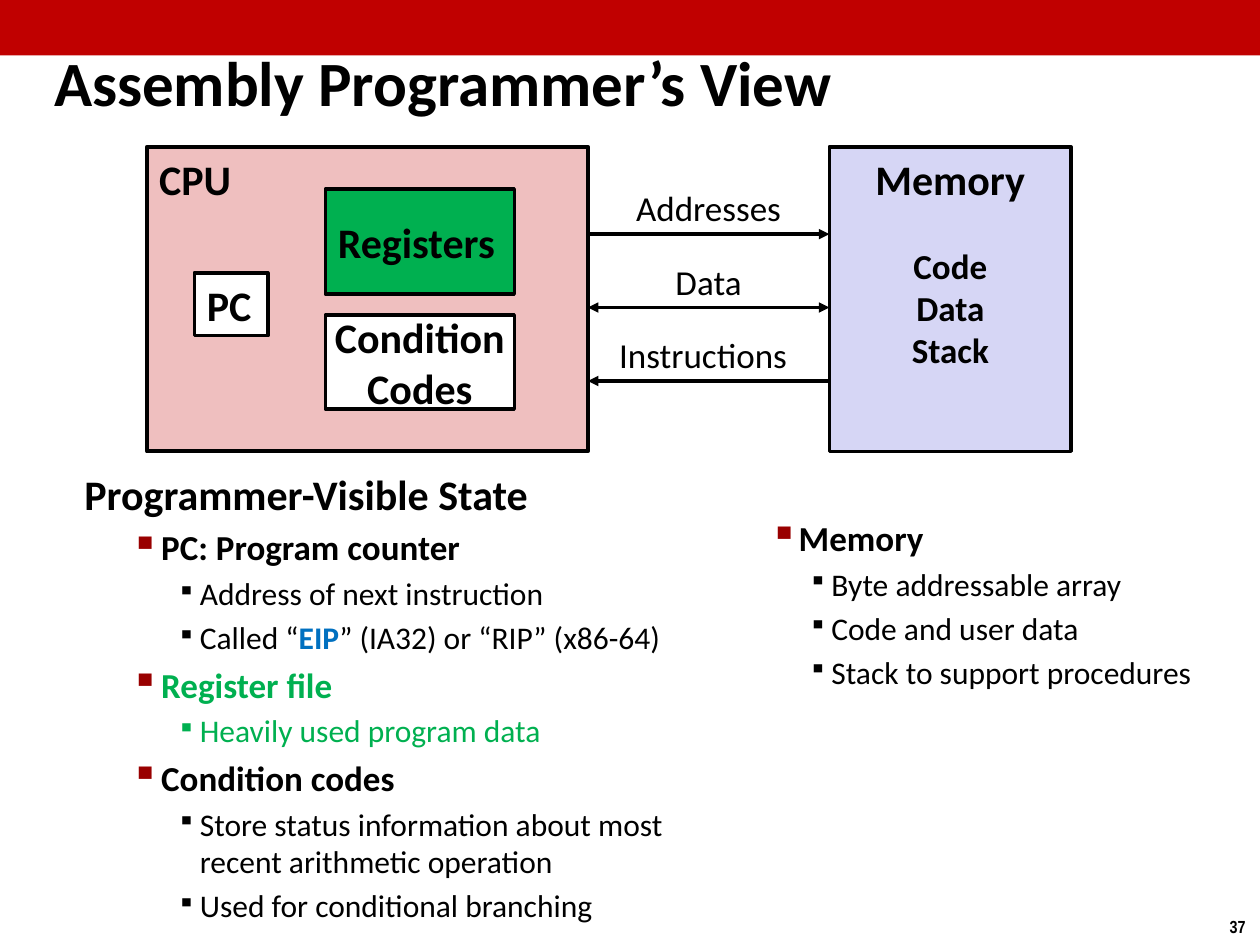
from dataclasses import dataclass
from typing import NamedTuple

from lxml import etree
from pptx import Presentation
from pptx.dml.color import RGBColor
from pptx.enum import shapes, text
from pptx.oxml import ns
from pptx.util import Cm, Pt

LEFT, CENTER = text.PP_ALIGN.LEFT, text.PP_ALIGN.CENTER
TOP, MIDDLE = text.MSO_ANCHOR.TOP, text.MSO_ANCHOR.MIDDLE


@dataclass(frozen=True)
class Theme:
    font: str = "Calibri"
    number_font: str = "Arial Narrow"
    black: str = "000000"
    white: str = "FFFFFF"
    bar: str = "C00000"
    cpu: str = "EFBFBF"
    memory: str = "D6D6F5"
    green: str = "00B050"
    blue: str = "0070C0"
    bullet: str = "990000"
    title: int = 36
    heading: int = 24
    item: int = 20
    detail: int = 18
    number: int = 10
    space_share: float = 0.2


THEME = Theme()


class Box(NamedTuple):
    left: float
    top: float
    width: float
    height: float


class Span(NamedTuple):
    words: str
    color: str = THEME.black
    bold: bool = False


class Level(NamedTuple):
    size: int
    margin: float = 0
    hang: float = 0
    bullet_percent: int = 0
    bullet_color: str = ""


class Item(NamedTuple):
    level: Level
    spans: list[Span]


class Block(NamedTuple):
    box: Box
    fill: str
    lines: list[str]
    align: text.PP_ALIGN = LEFT
    anchor: text.MSO_ANCHOR = MIDDLE
    border: float = 2


class Flow(NamedTuple):
    label: str
    to_cpu: bool
    to_memory: bool
    label_width: float


def add_run(paragraph, span: Span, size: int, font: str = THEME.font) -> None:
    run = paragraph.add_run()
    run.text = span.words
    run.font.name = font
    run.font.size = Pt(size)
    run.font.bold = span.bold
    run.font.color.rgb = RGBColor.from_string(span.color)


def add_lines(frame, lines: list[str], size: int, align=LEFT, bold: bool = True,
              font: str = THEME.font) -> None:
    for i, line in enumerate(lines):
        paragraph = frame.paragraphs[0] if i == 0 else frame.add_paragraph()
        paragraph.alignment = align
        add_run(paragraph, Span(line, bold=bold), size, font)


def add_frame(slide, box: Box, wrap: bool = True, anchor=TOP):
    """Add a text box and return its text frame."""
    frame = slide.shapes.add_textbox(*map(Cm, box)).text_frame
    frame.word_wrap = wrap
    frame.vertical_anchor = anchor
    return frame


def add_rect(slide, box: Box, fill: str):
    rect = slide.shapes.add_shape(shapes.MSO_SHAPE.RECTANGLE, *map(Cm, box))
    rect.shadow.inherit = False
    rect.fill.solid()
    rect.fill.fore_color.rgb = RGBColor.from_string(fill)
    rect.line.fill.background()
    return rect


def add_block(slide, block: Block) -> None:
    rect = add_rect(slide, block.box, block.fill)
    rect.line.color.rgb = RGBColor.from_string(THEME.black)
    rect.line.width = Pt(block.border)
    rect.text_frame.word_wrap = False
    rect.text_frame.vertical_anchor = block.anchor
    add_lines(rect.text_frame, block.lines, THEME.heading, block.align)


def add_flow(slide, flow: Flow, left: float, right: float, y: float) -> None:
    """Draw an arrow between CPU and memory with its label above."""
    arrow = slide.shapes.add_connector(
        shapes.MSO_CONNECTOR.STRAIGHT, Cm(left), Cm(y), Cm(right), Cm(y))
    arrow.line.color.rgb = RGBColor.from_string(THEME.black)
    arrow.line.width = Pt(2)
    line = arrow.line._get_or_add_ln()
    for end, shown in (("a:headEnd", flow.to_cpu), ("a:tailEnd", flow.to_memory)):
        if shown:
            etree.SubElement(line, ns.qn(end), type="triangle")
    etree.SubElement(arrow._element.spPr, ns.qn("a:effectLst"))
    frame = add_frame(slide, Box(left, y - 1.08, flow.label_width, 1.1))
    add_lines(frame, [flow.label], THEME.item, CENTER, bold=False)


def set_bullet(paragraph, level: Level) -> None:
    properties = paragraph._p.get_or_add_pPr()
    properties.set("marL", str(Cm(level.margin)))
    properties.set("indent", str(-Cm(level.hang)))
    if level.bullet_color:
        color = etree.SubElement(properties, ns.qn("a:buClr"))
        etree.SubElement(color, ns.qn("a:srgbClr"), val=level.bullet_color)
    etree.SubElement(properties, ns.qn("a:buSzPct"), val=str(level.bullet_percent * 1000))
    etree.SubElement(properties, ns.qn("a:buChar"), char="▪")


def add_outline(slide, box: Box, items: list[Item]) -> None:
    frame = add_frame(slide, box)
    for i, (level, spans) in enumerate(items):
        paragraph = frame.paragraphs[0] if i == 0 else frame.add_paragraph()
        if level.bullet_percent:
            set_bullet(paragraph, level)
        if i:
            paragraph.space_before = Pt(level.size * THEME.space_share)
        for span in spans:
            add_run(paragraph, span, level.size)


HEADING = Level(THEME.heading)
TOPIC = Level(THEME.item, 1.55, 0.61, 110, THEME.bullet)
DETAIL = Level(THEME.detail, 2.33, 0.46, 80)
SIDE_TOPIC = TOPIC._replace(margin=0.81, hang=0.48)
SIDE_DETAIL = DETAIL._replace(margin=1.57)

CPU = Box(2.96, 2.96, 8.89, 6.14)
MEMORY = Box(16.72, 2.96, 4.87, 6.14)
BLOCKS = [
    Block(CPU, THEME.cpu, ["CPU"], anchor=TOP, border=2.25),
    Block(Box(3.92, 5.5, 1.48, 1.27), THEME.white, ["PC"]),
    Block(Box(6.56, 3.81, 3.81, 2.12), THEME.green, ["Registers"]),
    Block(Box(6.56, 6.35, 3.81, 1.9), THEME.white, ["Condition", "Codes"], CENTER),
    Block(MEMORY, THEME.memory, ["Memory"], CENTER, TOP),
]
FLOWS = [
    Flow("Addresses", False, True, 4.87),
    Flow("Data", True, True, 4.87),
    Flow("Instructions", True, False, 4.65),
]
FIRST_FLOW, FLOW_STEP = 4.72, 1.48

STATE = [
    Item(HEADING, [Span("Programmer-Visible State", bold=True)]),
    Item(TOPIC, [Span("PC: Program counter", bold=True)]),
    Item(DETAIL, [Span("Address of next instruction")]),
    Item(DETAIL, [Span("Called “"), Span("EIP", THEME.blue, True),
                  Span("” (IA32) or “RIP” (x86-64)")]),
    Item(TOPIC, [Span("Register file", THEME.green, True)]),
    Item(DETAIL, [Span("Heavily used program data", THEME.green)]),
    Item(TOPIC, [Span("Condition codes", bold=True)]),
    Item(DETAIL, [Span("Store status information about most recent arithmetic operation")]),
    Item(DETAIL, [Span("Used for conditional branching")]),
]
MEMORY_NOTES = [
    Item(SIDE_TOPIC, [Span("Memory", bold=True)]),
    Item(SIDE_DETAIL, [Span("Byte addressable array")]),
    Item(SIDE_DETAIL, [Span("Code and user data")]),
    Item(SIDE_DETAIL, [Span("Stack to support procedures")]),
]


def main() -> None:
    deck = Presentation()
    deck.slide_width, deck.slide_height = Cm(25.4), Cm(19.05)
    slide = deck.slides.add_slide(deck.slide_layouts[6])

    add_rect(slide, Box(0, 0, 25.4, 1.12), THEME.bar)
    title = add_frame(slide, Box(0.84, 0.84, 20.07, 1.6), anchor=MIDDLE)
    add_lines(title, ["Assembly Programmer’s View"], THEME.title)
    for block in BLOCKS:
        add_block(slide, block)
    contents = add_frame(slide, Box(17.57, 4.8, 3.18, 2.82))
    add_lines(contents, ["Code", "Data", "Stack"], THEME.item, CENTER)
    for i, flow in enumerate(FLOWS):
        add_flow(slide, flow, CPU.left + CPU.width, MEMORY.left, FIRST_FLOW + i * FLOW_STEP)
    add_outline(slide, Box(1.45, 9.32, 12.85, 8.59), STATE)
    add_outline(slide, Box(14.94, 10.29, 10.06, 4.37), MEMORY_NOTES)
    number = add_frame(slide, Box(24.54, 18.34, 0.86, 0.69), wrap=False)
    add_lines(number, ["37"], THEME.number, font=THEME.number_font)

    deck.save("out.pptx")


if __name__ == "__main__":
    main()
